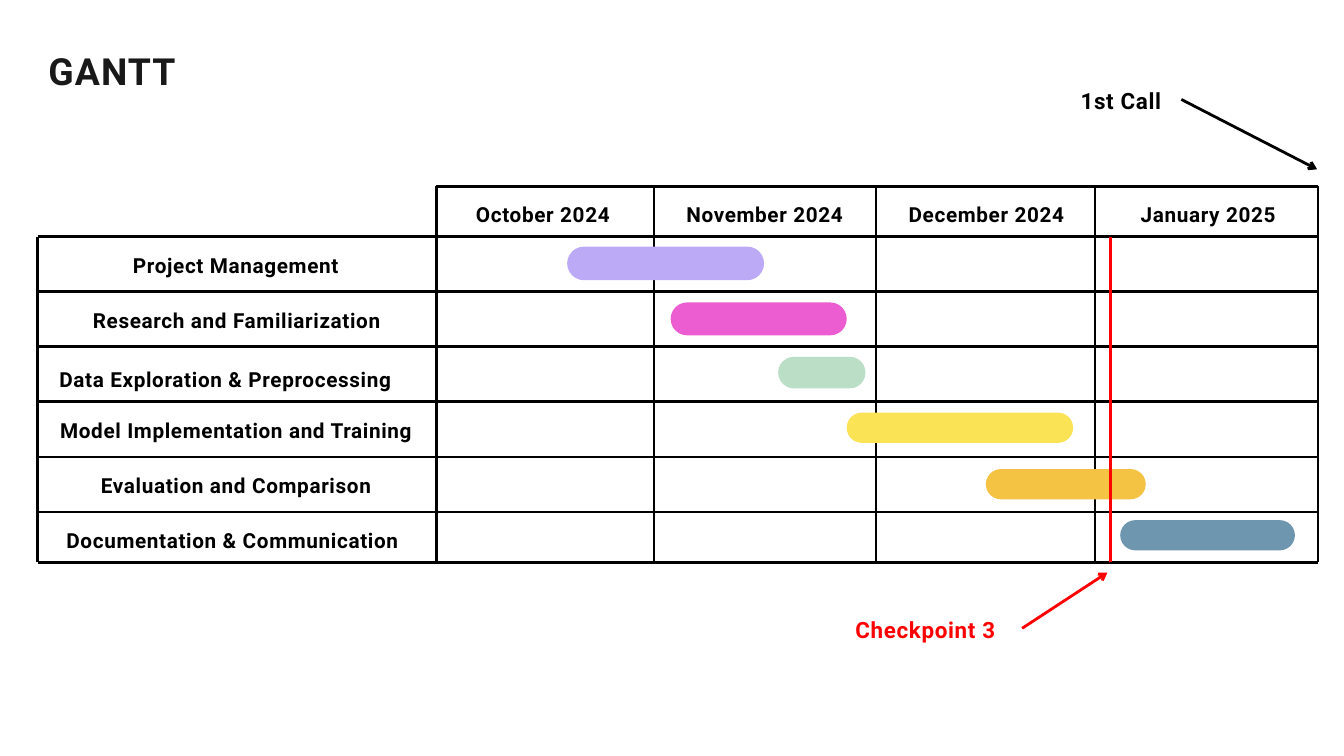
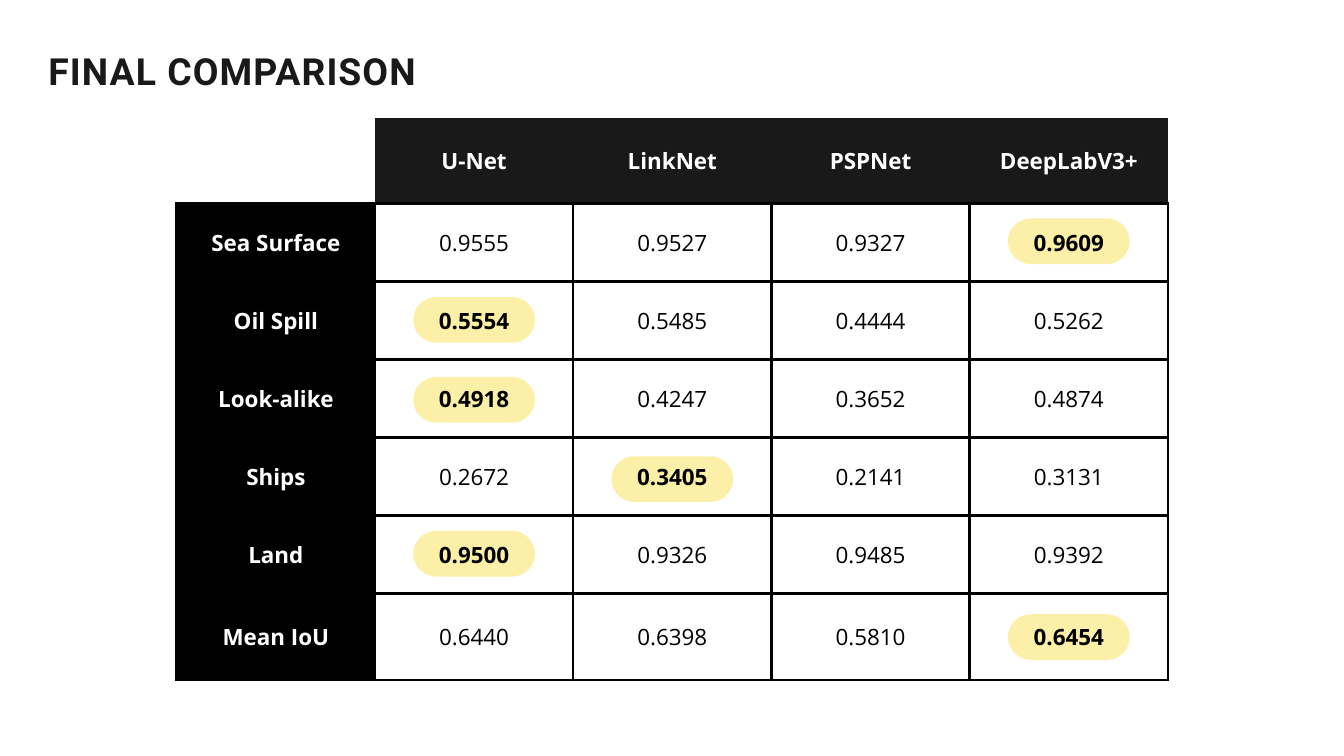
"""Build a project schedule slide and a model comparison slide."""
from lxml.etree import SubElement
from pptx import Presentation
from pptx.dml.color import RGBColor
from pptx.enum.shapes import MSO_CONNECTOR as LINK, MSO_SHAPE as SHAPE
from pptx.enum.text import MSO_ANCHOR as ANCHOR, MSO_AUTO_SIZE as AUTO, PP_ALIGN as ALIGN
from pptx.oxml import parse_xml
from pptx.oxml.ns import nsdecls, qn
from pptx.util import Inches, Pt

BLACK, WHITE, DARK, RED, YELLOW = "000000", "FFFFFF", "191919", "FF0000", "FAE355"
HEAD, BODY = "Roboto", "Open Sans"

MONTHS = ["October 2024", "November 2024", "December 2024", "January 2025"]
EDGES = [6.49, 9.73, 13.04, 16.29, 19.61]
LEFT, TOP, FIRST, LAST = 0.56, 2.77, 3.52, 8.37
ROWS = [FIRST + 0.82 * i for i in range(6)] + [LAST]
TASKS = [
    ("Project Management", (1.75, 3.67, 3.52), (8.44, 3.67, 2.93, 0.5), "BDAAF6"),
    ("Research and Familiarization", (0.94, 4.49, 5.17), (9.98, 4.5, 2.62, 0.49), "EC5DD2"),
    ("Data Exploration & Preprocessing", (0.35, 5.36, 6.01), (11.58, 5.31, 1.3, 0.47), "BADEC6"),
    ("Model Implementation and Training", (0.67, 6.13, 5.69), (12.6, 6.14, 3.37, 0.45), YELLOW),
    ("Evaluation and Comparison", (0.51, 6.95, 6.01), (14.67, 6.98, 2.38, 0.45), "F4C343"),
    ("Documentation & Communication", (0.57, 7.76, 5.78), (16.67, 7.74, 2.6, 0.45), "6E96AE"),
]

SCORES = [
    ["", "U-Net", "LinkNet", "PSPNet", "DeepLabV3+"],
    ["Sea Surface", "0.9555", "0.9527", "0.9327", "0.9609"],
    ["Oil Spill", "0.5554", "0.5485", "0.4444", "0.5262"],
    ["Look-alike", "0.4918", "0.4247", "0.3652", "0.4874"],
    ["Ships", "0.2672", "0.3405", "0.2141", "0.3131"],
    ["Land", "0.9500", "0.9326", "0.9485", "0.9392"],
    ["Mean IoU", "0.6440", "0.6398", "0.5810", "0.6454"],
]
TALL = [1.27] + [1.16] * 5 + [1.29]
MARKS = [3.25, 4.42, 5.61, 6.79, 7.9, 9.14]
WIDE = 2.95


def tint(code):
    return RGBColor.from_string(code)


def box(*sizes):
    return [Inches(size) for size in sizes]


class Deck:
    def __init__(self):
        self.prs = Presentation()
        self.prs.slide_width, self.prs.slide_height = box(20, 11.25)

    def page(self, title):
        self.slide = self.prs.slides.add_slide(self.prs.slide_layouts[5])
        shape = self.slide.shapes.title
        shape.left, shape.top, shape.width, shape.height = box(0.72, 0.66, 9.28, 0.71)
        self.fill_text(shape.text_frame, title, 40, 52.4, DARK, ALIGN.LEFT, 1.2)

    def fill_text(self, frame, text, size, lead, color, align=ALIGN.CENTER, gap=0.7):
        frame.text = text
        frame.word_wrap = True
        frame.auto_size = AUTO.NONE
        frame.vertical_anchor = ANCHOR.TOP
        frame.margin_left = frame.margin_right = 0
        frame.margin_top = frame.margin_bottom = 0
        self.style(frame.paragraphs[0], size, lead, color, HEAD, True, align, gap)

    def style(self, para, size, lead, color, font, bold, align, gap):
        para.alignment = align
        para.line_spacing = Pt(lead)
        for run in para.runs:
            run.font.size, run.font.name, run.font.bold = Pt(size), font, bold
            run.font.color.rgb = tint(color)
            run._r.get_or_add_rPr().set("spc", str(round(gap * 100)))

    def label(self, text, left, top, width, size=22.2, color=BLACK):
        shape = self.slide.shapes.add_textbox(*box(left, top, width, size * 0.02))
        self.fill_text(shape.text_frame, text, size, size * 1.5, color)

    def line(self, start, end, color=BLACK, width=3, arrow=False):
        link = self.slide.shapes.add_connector(LINK.STRAIGHT, *box(*start, *end))
        link.line.color.rgb = tint(color)
        link.line.width = Pt(width)
        if arrow:
            SubElement(link.line._get_or_add_ln(), qn("a:tailEnd"), type="arrow")
        SubElement(link._element.spPr, qn("a:effectLst"))

    def pill(self, place, color, alpha=100):
        shape = self.slide.shapes.add_shape(SHAPE.ROUNDED_RECTANGLE, *box(*place))
        shape.adjustments[0] = 0.5
        shape.shadow.inherit = False
        shape.line.fill.background()
        shape.fill.solid()
        shape.fill.fore_color.rgb = tint(color)
        if alpha < 100:
            code = shape._element.spPr.find(".//" + qn("a:srgbClr"))
            SubElement(code, qn("a:alpha"), val=str(alpha * 1000))

    def grid(self, rows, left, top, tall, wide):
        cols = len(rows[0])
        frame = self.slide.shapes.add_table(
            len(rows), cols, *box(left, top, wide * cols, sum(tall)))
        table = frame.table
        table.first_row = table.horz_banding = False
        for col in table.columns:
            col.width = Inches(wide)
        for y, texts in enumerate(rows):
            table.rows[y].height = Inches(tall[y])
            best = max(texts[1:])
            for x, text in enumerate(texts):
                head = x == 0 or y == 0
                fill = (DARK if x else WHITE) if y == 0 else BLACK if x == 0 else None
                self.cell(table.cell(y, x), text, fill, head or text == best, y > 0)

    def cell(self, cell, text, fill, bold, ruled):
        cell.text = text
        cell.vertical_anchor = ANCHOR.MIDDLE
        cell.margin_left = cell.margin_right = Inches(0.21)
        cell.margin_top = cell.margin_bottom = Inches(0.21)
        color = WHITE if fill else BLACK
        self.style(cell.text_frame.paragraphs[0], 24, 33.6, color, BODY, bold,
                   ALIGN.CENTER, 0)
        if fill:
            cell.fill.solid()
            cell.fill.fore_color.rgb = tint(fill)
        else:
            cell.fill.background()
        paint = f'<a:solidFill><a:srgbClr val="{BLACK}"/></a:solidFill>' if ruled else "<a:noFill/>"
        width = Pt(3) if ruled else 0
        for spot, side in enumerate("LRTB"):
            edge = parse_xml(f'<a:ln{side} {nsdecls("a")} w="{width}">{paint}</a:ln{side}>')
            cell._tc.get_or_add_tcPr().insert(spot, edge)


def plan(deck):
    deck.page("GANTT")
    deck.line((EDGES[0], TOP), (EDGES[-1], TOP))
    for y in ROWS:
        deck.line((LEFT, y), (EDGES[-1], y))
    deck.line((LEFT, FIRST), (LEFT, LAST))
    for x in EDGES:
        deck.line((x, TOP), (x, LAST), width=3 if x == EDGES[0] else 2.25)
    for i, month in enumerate(MONTHS):
        deck.label(month, 6.43 + 3.3 * i, 2.91, 3.3)
    for name, place, bar, color in TASKS:
        deck.label(name, *place)
        deck.pill(bar, color)
    deck.line((16.53, LAST), (16.53, FIRST), RED)
    deck.label("Checkpoint 3", 11.58, 9.07, 4.38, 24, RED)
    deck.line((15.21, 9.35), (16.48, 8.52), RED, arrow=True)
    deck.label("1st Call", 14.49, 1.19, 4.38, 24)
    deck.line((17.58, 1.48), (19.6, 2.52), arrow=True)


def compare(deck):
    deck.page("FINAL COMPARISON")
    for row, top in zip(SCORES[1:], MARKS):
        best = row.index(max(row[1:]))
        deck.pill((6.15 + WIDE * (best - 1), top, 1.81, 0.68), YELLOW, 50)
    deck.grid(SCORES, 2.63, 1.76, TALL, WIDE)


def main():
    deck = Deck()
    plan(deck)
    compare(deck)
    deck.prs.save("out.pptx")


if __name__ == "__main__":
    main()
